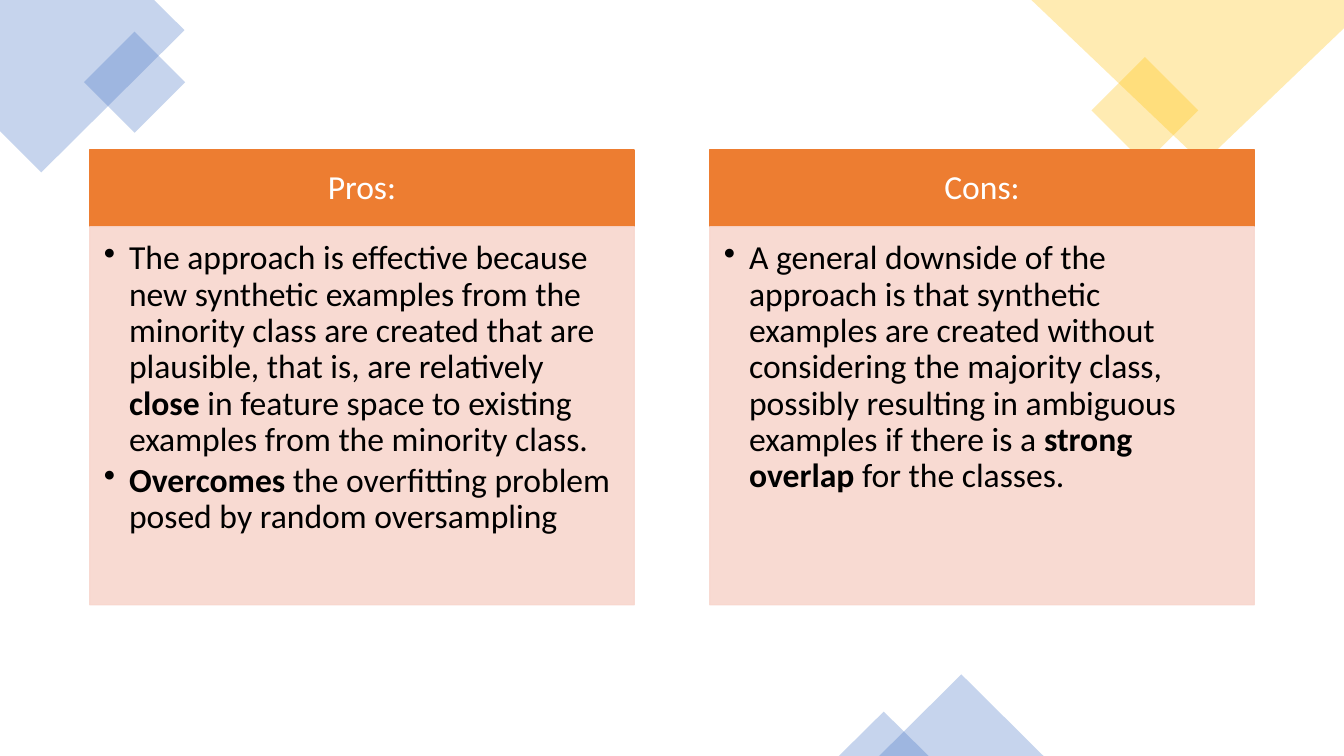
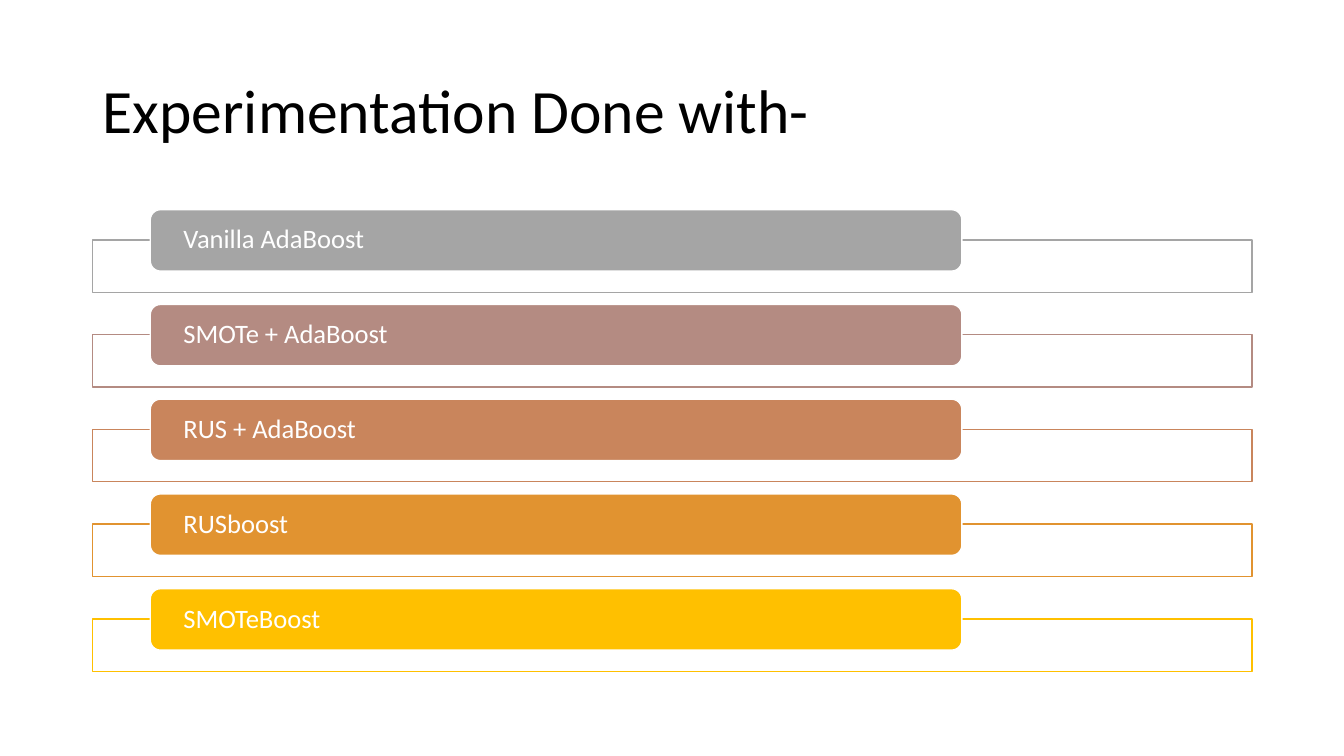
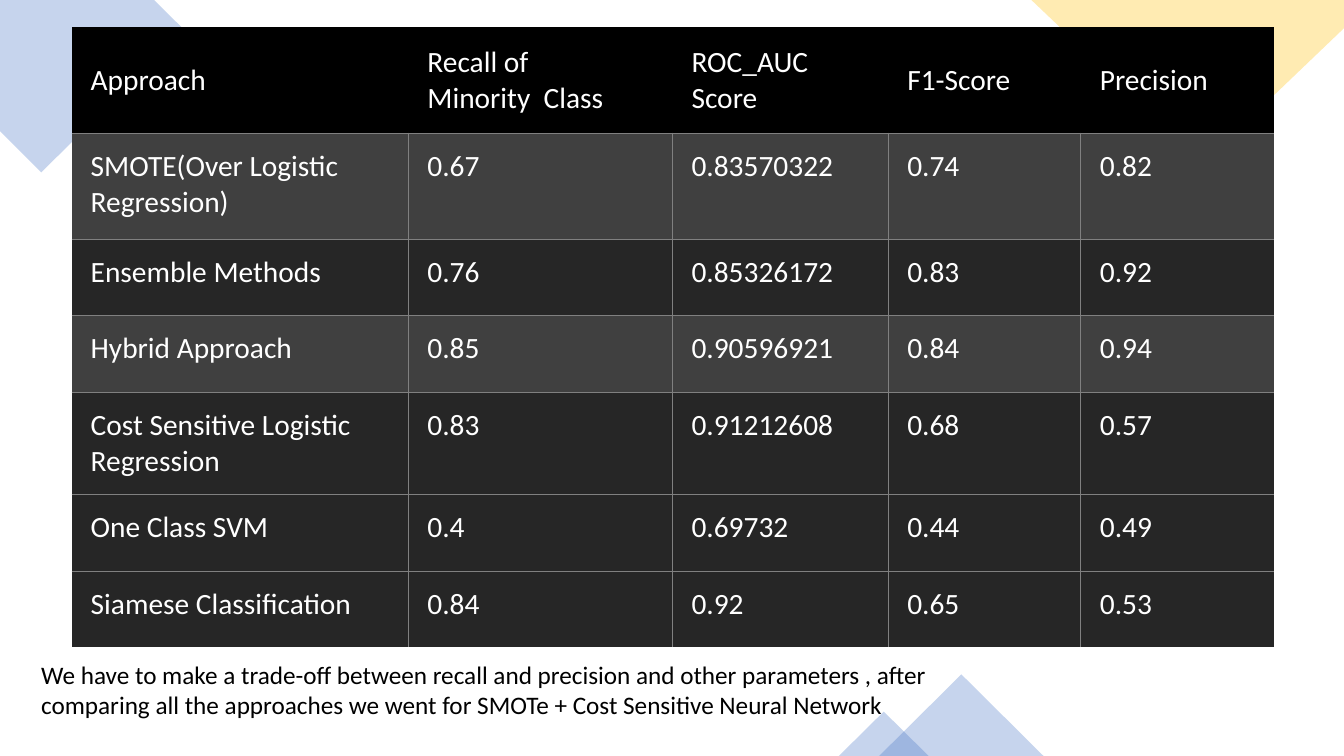
from dataclasses import dataclass

from lxml.etree import SubElement as Sub
from pptx import Presentation
from pptx.dml.color import RGBColor as RGB
from pptx.enum.shapes import MSO_SHAPE as Geo
from pptx.enum.text import MSO_ANCHOR as Anchor, PP_ALIGN as Align
from pptx.oxml.ns import qn
from pptx.util import Inches, Pt


@dataclass(frozen=True)
class Theme:
    font: str = "Calibri"
    white: str = "FFFFFF"
    black: str = "000000"
    blue: str = "4472C4"
    gold: str = "FFC000"
    orange: str = "ED7D31"
    blush: str = "F8D7CE"
    steps: tuple = ("A5A5A5", "B48B82", "C9855C", "E19330", "FFC000")
    dark: str = "262626"
    mid: str = "404040"
    rule: str = "808080"
    title: int = 44
    body: int = 24
    cell: int = 21
    step: int = 19
    note: int = 18


T = Theme()

PANELS = [
    ("Pros:", [
        [("The approach is effective because new synthetic examples from the "
          "minority class are created that are plausible, that is, are "
          "relatively ", False),
         ("close", True),
         (" in feature space to existing examples from the minority class.",
          False)],
        [("Overcomes ", True),
         ("the overfitting problem posed by random oversampling", False)],
    ]),
    ("Cons:", [
        [("A general downside of the approach is that synthetic examples are "
          "created without considering the majority class, possibly "
          "resulting in ambiguous examples if there is a ", False),
         ("strong overlap", True),
         (" for the classes.", False)],
    ]),
]

STEPS = ["Vanilla AdaBoost", "SMOTe + AdaBoost", "RUS + AdaBoost",
         "RUSboost", "SMOTeBoost"]

SCORES = [
    ("Approach", "Recall of Minority  Class", "ROC_AUC Score", "F1-Score",
     "Precision"),
    ("SMOTE(Over Logistic Regression)", "0.67", "0.83570322", "0.74", "0.82"),
    ("Ensemble Methods", "0.76", "0.85326172", "0.83", "0.92"),
    ("Hybrid Approach", "0.85", "0.90596921", "0.84", "0.94"),
    ("Cost Sensitive Logistic Regression", "0.83", "0.91212608", "0.68",
     "0.57"),
    ("One Class SVM", "0.4", "0.69732", "0.44", "0.49"),
    ("Siamese Classification", "0.84", "0.92", "0.65", "0.53"),
]
COLS = [3.34, 2.62, 2.14, 1.91, 1.92]
ROWS = [1.05, 1.05, 0.76, 0.76, 1.01, 0.76, 0.76]

NOTE = ("We have to make a trade-off between recall and precision and other "
        "parameters , after comparing all the approaches we went for "
        "SMOTe + Cost Sensitive Neural Network")


def paint(shape, fill, line=None, alpha=100):
    """Fill and outline a shape; alpha fades every part in the fill colour."""
    shape.shadow.inherit = False
    shape.fill.solid()
    shape.fill.fore_color.rgb = RGB.from_string(fill)
    if line:
        shape.line.color.rgb = RGB.from_string(line)
        shape.line.width = Pt(1)
    else:
        shape.line.fill.background()
    if alpha < 100:
        for clr in shape._element.spPr.iter(qn("a:srgbClr")):
            if clr.get("val") == fill:
                Sub(clr, qn("a:alpha"), val=str(alpha * 1000))


def add_box(slide, geo, box, fill, line=None, alpha=100):
    shape = slide.shapes.add_shape(geo, *map(Inches, box))
    paint(shape, fill, line, alpha)
    return shape


def add_poly(slide, points, fill, alpha):
    start, *rest = [(Inches(x), Inches(y)) for x, y in points]
    pen = slide.shapes.build_freeform(*start)
    pen.add_line_segments(rest, close=True)
    paint(pen.convert_to_shape(), fill, alpha=alpha)


def set_frame(frame, insets, anchor):
    frame.word_wrap = True
    frame.vertical_anchor = anchor
    (frame.margin_left, frame.margin_top,
     frame.margin_right, frame.margin_bottom) = map(Inches, insets)


def style(para, size, color, align=Align.LEFT, space=0.9):
    para.alignment = align
    para.line_spacing = space
    for run in para.runs:
        run.font.name = T.font
        run.font.size = Pt(size)
        run.font.color.rgb = RGB.from_string(color)


def put_text(shape, text, size, color, insets, align=Align.LEFT):
    set_frame(shape.text_frame, insets, Anchor.MIDDLE)
    shape.text_frame.text = text
    style(shape.text_frame.paragraphs[0], size, color, align)


def put_list(frame, items):
    for i, item in enumerate(items):
        para = frame.paragraphs[0] if i == 0 else frame.add_paragraph()
        for text, bold in item:
            run = para.add_run()
            run.text = text
            run.font.bold = bold
        style(para, T.body, T.black)
        para.space_after = Pt(3.6)
        props = para._p.get_or_add_pPr()
        props.set("marL", str(Inches(0.25)))
        props.set("indent", str(Inches(-0.25)))
        Sub(props, qn("a:buChar"), char="•")


def add_decor(slide):
    """Draw the pale diamonds at the slide's corners and lower edge."""
    add_poly(slide, [(0, 0), (1.53, 0), (1.83, 0.3), (0.41, 1.71), (0, 1.3)],
             T.blue, 30)
    for box, color in (((0.98, 0.46, 0.71, 0.71), T.blue),
                       ((10.98, 0.72, 0.75, 0.75), T.gold)):
        add_box(slide, Geo.RECTANGLE, box, color, alpha=30).rotation = 315
    add_poly(slide, [(10.23, 0), (13.33, 0), (13.33, 0.28), (11.93, 1.62)],
             T.gold, 30)
    for box in ((8.72, 6.69, 1.63, 0.81), (8.32, 7.06, 0.89, 0.44)):
        add_box(slide, Geo.ISOSCELES_TRIANGLE, box, T.blue, alpha=30)


def add_panel(slide, left, head, items):
    top, wide, high = 1.49, 5.4, 0.76
    bar = add_box(slide, Geo.RECTANGLE, (left, top, wide, high),
                  T.orange, T.orange)
    put_text(bar, head, T.body, T.white, (0.19, 0.11, 0.19, 0.11),
             Align.CENTER)
    body = add_box(slide, Geo.RECTANGLE, (left, top + high, wide, 3.75),
                   T.blush, T.blush, 90)
    set_frame(body.text_frame, (0.14, 0.14, 0.19, 0.21), Anchor.TOP)
    put_list(body.text_frame, items)


def add_step(slide, top, text, color):
    add_box(slide, Geo.RECTANGLE, (0.92, top + 0.3, 11.5, 0.52),
            T.white, color, 90)
    pill = add_box(slide, Geo.ROUNDED_RECTANGLE, (1.49, top, 8.05, 0.61),
                   color, T.white)
    put_text(pill, text, T.step, T.white, (0.3, 0, 0.3, 0))


def set_edges(cell, shown):
    props = cell._tc.get_or_add_tcPr()
    for side in "LRTB":
        line = Sub(props, qn("a:ln" + side), w=str(Pt(0.5)))
        if side in shown:
            fill = Sub(line, qn("a:solidFill"))
            Sub(fill, qn("a:srgbClr"), val=T.rule)
        else:
            Sub(line, qn("a:noFill"))


def edges(r, c):
    """Name the sides with a rule: inner ones, and no uprights in the head."""
    tests = {"L": r and c, "R": r and c < len(COLS) - 1,
             "T": r, "B": r < len(ROWS) - 1}
    return [side for side, on in tests.items() if on]


def add_scores(slide):
    box = (0.71, 0.27, sum(COLS), sum(ROWS))
    table = slide.shapes.add_table(len(ROWS), len(COLS),
                                   *map(Inches, box)).table
    table.first_row = table.horz_banding = False
    for col, wide in zip(table.columns, COLS):
        col.width = Inches(wide)
    for r, (row, high) in enumerate(zip(table.rows, ROWS)):
        row.height = Inches(high)
        fill = T.black if r == 0 else T.mid if r in (1, 3) else T.dark
        for c, cell in enumerate(row.cells):
            set_edges(cell, edges(r, c))
            cell.fill.solid()
            cell.fill.fore_color.rgb = RGB.from_string(fill)
            cell.vertical_anchor = Anchor.TOP if r else Anchor.MIDDLE
            cell.margin_left, cell.margin_right = Inches(0.19), Inches(0.35)
            cell.margin_top = cell.margin_bottom = Inches(0.15)
            cell.text_frame.text = SCORES[r][c]
            style(cell.text_frame.paragraphs[0], T.cell, T.white, space=1)


def add_note(slide, box, text):
    frame = slide.shapes.add_textbox(*map(Inches, box)).text_frame
    set_frame(frame, (0.1, 0.05, 0.1, 0.05), Anchor.TOP)
    frame.text = text
    style(frame.paragraphs[0], T.note, T.black, space=1)


def set_title(slide, text):
    title = slide.shapes.title
    title.left, title.top, title.width, title.height = map(
        Inches, (0.92, 0.4, 11.5, 1.45))
    put_text(title, text, T.title, T.black, (0.1, 0.05, 0.1, 0.05))


def main():
    deck = Presentation()
    deck.slide_width, deck.slide_height = Inches(13.33), Inches(7.5)
    titled, blank = deck.slide_layouts[5], deck.slide_layouts[6]

    slide = deck.slides.add_slide(blank)
    add_decor(slide)
    for i, (head, items) in enumerate(PANELS):
        add_panel(slide, 0.89 + 6.15 * i, head, items)

    slide = deck.slides.add_slide(titled)
    set_title(slide, "Experimentation Done with-")
    for i, (text, color) in enumerate(zip(STEPS, T.steps)):
        add_step(slide, 2.08 + 0.94 * i, text, color)

    slide = deck.slides.add_slide(blank)
    add_decor(slide)
    add_scores(slide)
    add_note(slide, (0.31, 6.49, 9.23, 0.71), NOTE)

    deck.save("out.pptx")


if __name__ == "__main__":
    main()
